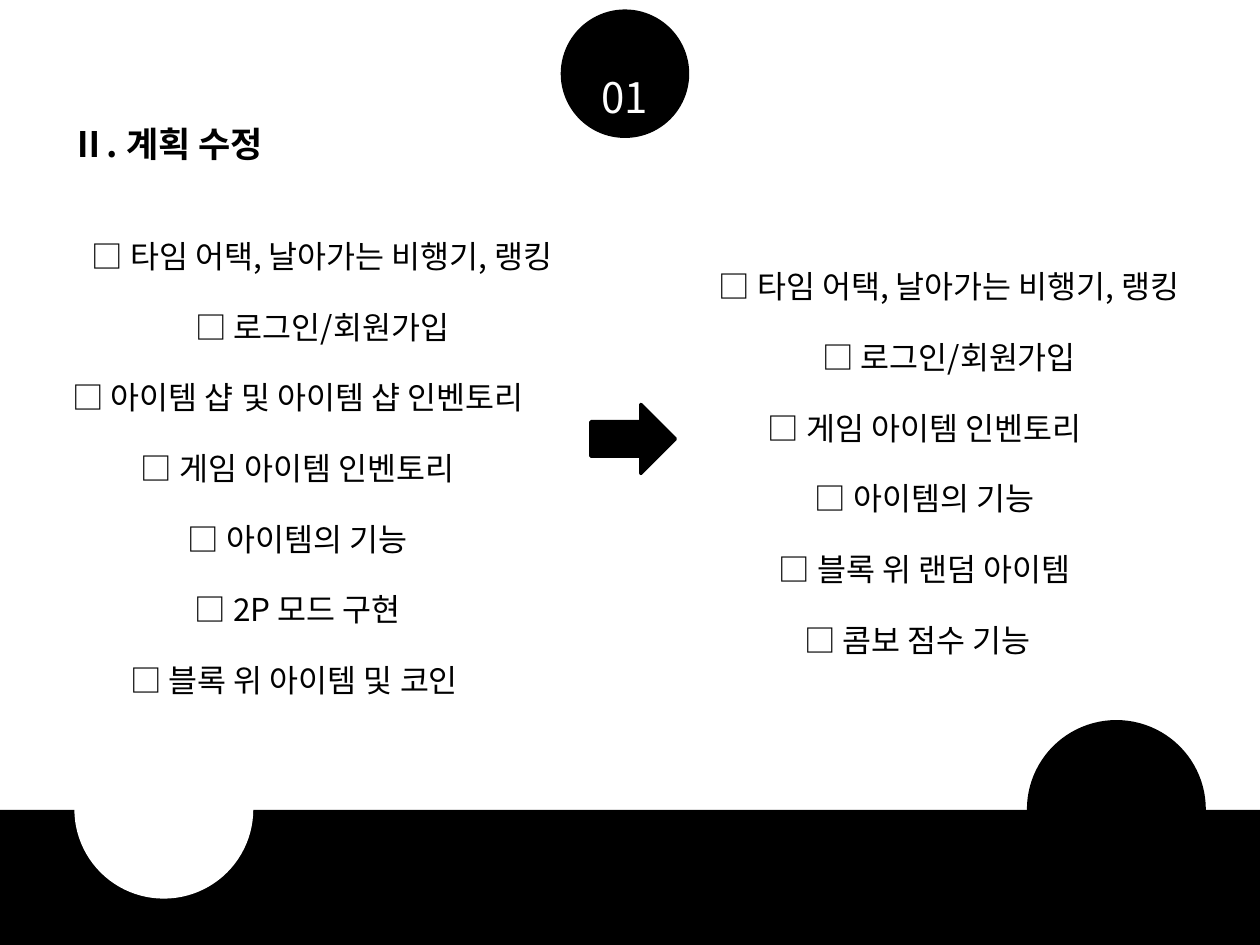
from dataclasses import dataclass
from lxml import etree
from pptx import Presentation
from pptx.dml.color import RGBColor
from pptx.enum.shapes import MSO_SHAPE
from pptx.enum.text import MSO_ANCHOR, PP_ALIGN
from pptx.oxml.ns import qn
from pptx.util import Inches, Pt

WIDE, HIGH = 10, 7.5
FONT = "Noto Sans CJK KR"
COLORS = {"ink": "000000", "paper": "FFFFFF"}
OVAL, RECT, ARROW = MSO_SHAPE.OVAL, MSO_SHAPE.RECTANGLE, MSO_SHAPE.RIGHT_ARROW
LEFT, CENTER, TOP = PP_ALIGN.LEFT, PP_ALIGN.CENTER, MSO_ANCHOR.TOP
DEEP = 0.5    # margin of the indented items
FIRST = 0.14  # first-line indent of every item


@dataclass
class Box:
    """Place and size as shares of the slide."""
    x: float
    y: float
    w: float
    h: float

    def emu(self) -> tuple:
        return (Inches(self.x * WIDE), Inches(self.y * HIGH),
                Inches(self.w * WIDE), Inches(self.h * HIGH))


@dataclass
class Form:
    kind: int
    box: Box
    color: str
    line: float = 0


@dataclass
class Plan:
    box: Box
    deep: list
    flat: list


def rgb(name: str) -> RGBColor:
    return RGBColor.from_string(COLORS[name])


def draw(slide, form: Form) -> None:
    shape = slide.shapes.add_shape(form.kind, *form.box.emu())
    shape.shadow.inherit = False
    shape.fill.solid()
    shape.fill.fore_color.rgb = rgb(form.color)
    if form.line:
        shape.line.color.rgb = rgb(form.color)
        shape.line.width = Pt(form.line)
    else:
        shape.line.fill.background()


def place(shape, box: Box):
    shape.left, shape.top, shape.width, shape.height = box.emu()
    return shape


def write(shape, lines: list, size: float, color: str = "ink", bold: bool = False,
          align: int = LEFT, margins: list = (), gap: float = 1, after: float = 0) -> None:
    frame = shape.text_frame
    frame.word_wrap = True
    frame.vertical_anchor = TOP
    frame.text = "\n".join(lines)
    for n, para in enumerate(frame.paragraphs):
        para.alignment, para.line_spacing = align, gap
        para.space_before, para.space_after = Pt(0), Pt(after)
        if margins:
            props = para._p.get_or_add_pPr()
            props.set("marL", str(Inches(margins[n])))
            props.set("indent", str(Inches(FIRST)))
            etree.SubElement(props, qn("a:buNone"))
        font = para.runs[0].font
        font.size, font.bold, font.name = Pt(size), bold, FONT
        font.color.rgb = rgb(color)
        east = etree.SubElement(font._element, qn("a:ea"))
        east.set("typeface", FONT)


FORMS = [
    Form(OVAL, Box(0.445, 0.01, 0.102, 0.136), "ink"),
    Form(RECT, Box(0, 0.857, 1, 0.143), "ink"),
    Form(OVAL, Box(0.815, 0.762, 0.142, 0.189), "ink"),
    Form(OVAL, Box(0.059, 0.762, 0.142, 0.189), "paper"),
    Form(ARROW, Box(0.469, 0.428, 0.067, 0.073), "ink", 2),
]
SHARED = ["□ 타임 어택, 날아가는 비행기, 랭킹 ", "□ 로그인/회원가입 "]
PLANS = [
    Plan(Box(-0.024, 0.224, 0.501, 0.52), SHARED,
         ["\u00a0□ 아이템 샵 및 아이템 샵 인벤토리", "\u00a0□ 게임 아이템 인벤토리",
          "\u00a0□ 아이템의 기능", " □ 2P 모드 구현", " □ 블록 위 아이템 및 코인 "]),
    Plan(Box(0.469, 0.256, 0.51, 0.444), SHARED,
         ["\u00a0□ 게임 아이템 인벤토리", "\u00a0□ 아이템의 기능",
          " □ 블록 위 랜덤 아이템", "□ 콤보 점수 기능 "]),
]


def main() -> None:
    deck = Presentation()
    deck.slide_width, deck.slide_height = Inches(WIDE), Inches(HIGH)
    slide = deck.slides.add_slide(deck.slide_layouts[3])
    title, *bodies = list(slide.placeholders)[:3]

    # Circles, floor and arrow
    for form in FORMS:
        draw(slide, form)

    # Number and heading
    mark = slide.shapes.add_textbox(*Box(0.437, 0.069, 0.118, 0.067).emu())
    write(mark, ["01"], 24, color="paper", align=CENTER)
    write(place(title, Box(0.047, 0.123, 0.359, 0.059)), ["Ⅱ. 계획 수정"], 20, bold=True)

    # Plan before and after
    for body, plan in zip(bodies, PLANS):
        margins = [DEEP] * len(plan.deep) + [0] * len(plan.flat)
        write(place(body, plan.box), plan.deep + plan.flat, 18, align=CENTER,
              margins=margins, gap=1.5, after=8)

    deck.save("out.pptx")


if __name__ == "__main__":
    main()
